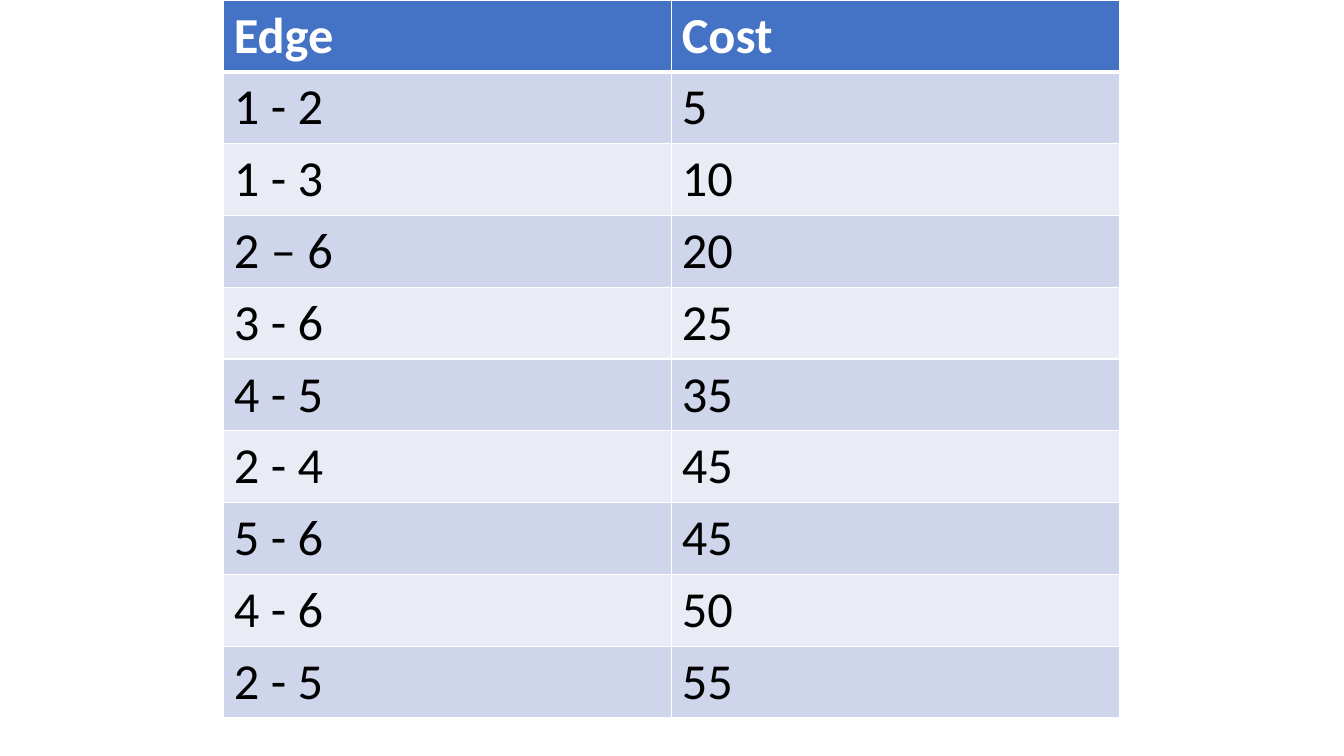
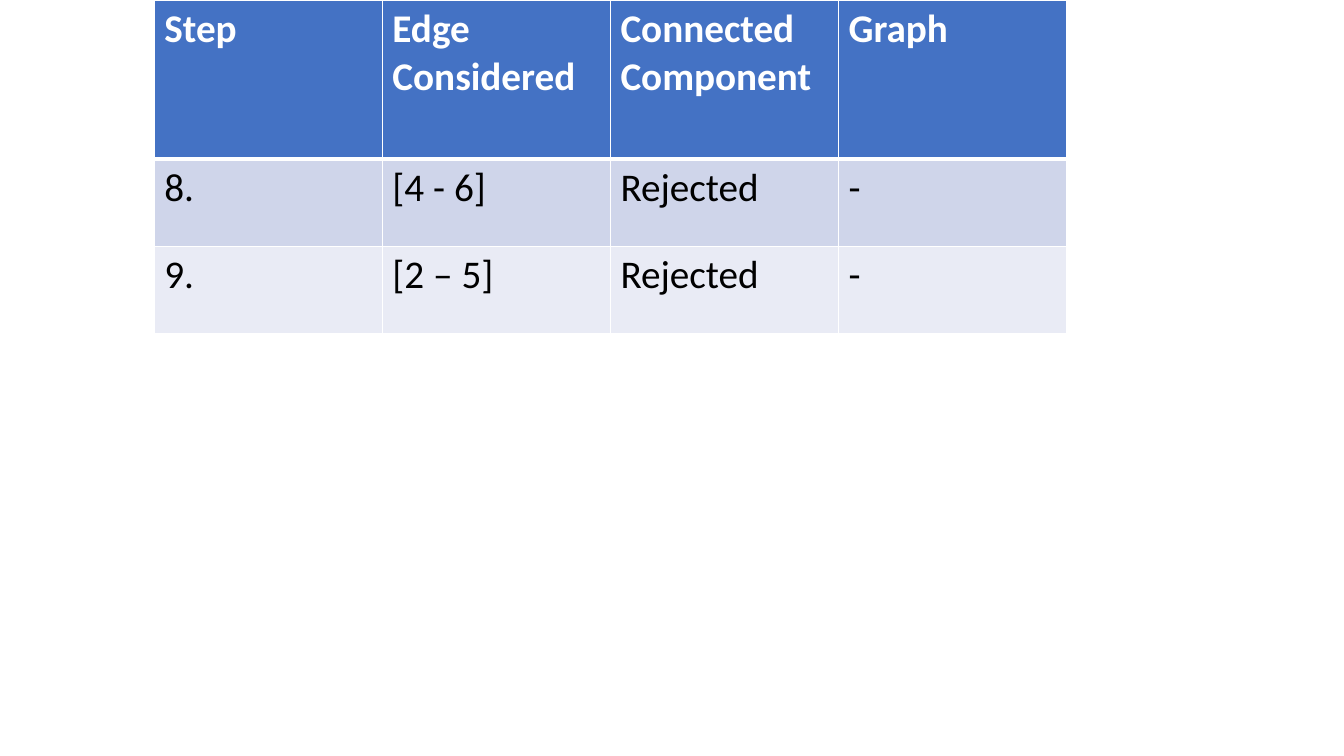
import pptx
import pptx.util
import pptx.dml.color
import pptx.oxml
import pptx.oxml.ns
from pptx.util import Cm

FONT = "Calibri"
HEADER, BANDS = "4472C4", ("CFD5EA", "E9EBF5")
WHITE, BLACK = "FFFFFF", "000000"
THIN, THICK = 1, 3

EDGE_COSTS = [
    ("Edge", "Cost"),
    ("1 - 2", "5"),
    ("1 - 3", "10"),
    ("2 – 6", "20"),
    ("3 - 6", "25"),
    ("4 - 5", "35"),
    ("2 - 4", "45"),
    ("5 - 6", "45"),
    ("4 - 6", "50"),
    ("2 - 5", "55"),
]
STEPS = [
    ("Step", "Edge Considered", "Connected Component", "Graph"),
    ("8.", "[4 - 6]", "Rejected", "-"),
    ("9.", "[2 – 5]", "Rejected", "-"),
]


def rgb(value):
    """Turn a hex string into a colour."""
    return pptx.dml.color.RGBColor.from_string(value)


def write(tf, text, size, color=BLACK, bold=False):
    """Put formatted text into the first paragraph of a text frame."""
    r = tf.paragraphs[0].add_run()
    r.text = text
    r.font.name = FONT
    r.font.size = pptx.util.Pt(size)
    r.font.bold = bold
    r.font.color.rgb = rgb(color)


def set_borders(cell, top=THIN, bottom=THIN):
    """Draw white lines on all four sides of a cell."""
    tc_pr = cell._tc.get_or_add_tcPr()
    for side, width in (("L", THIN), ("R", THIN), ("T", top), ("B", bottom)):
        tc_pr.append(pptx.oxml.parse_xml(
            f'<a:ln{side} {pptx.oxml.ns.nsdecls("a")} w="{pptx.util.Pt(width)}">'
            f'<a:solidFill><a:srgbClr val="{WHITE}"/></a:solidFill></a:ln{side}>'))


def add_banded_table(s, rows, box, header_height, size):
    """Fill a box with a table that has a header and banded rows."""
    left, top, width, height = box
    table = s.shapes.add_table(len(rows), len(rows[0]), left, top, width, height).table
    for column in table.columns:
        column.width = int(width / len(rows[0]))
    row_height = int((height - header_height) / (len(rows) - 1))
    for i, texts in enumerate(rows):
        is_header = i == 0
        table.rows[i].height = header_height if is_header else row_height
        for j, text in enumerate(texts):
            cell = table.cell(i, j)
            set_borders(cell, top=THICK if i == 1 else THIN,
                        bottom=THICK if is_header else THIN)
            cell.fill.solid()
            cell.fill.fore_color.rgb = rgb(HEADER if is_header else BANDS[(i - 1) % 2])
            write(cell.text_frame, text, size,
                  color=WHITE if is_header else BLACK, bold=is_header)


def add_table_slide(prs, rows, box, header_height, size):
    """Add a blank slide that holds one banded table."""
    s = prs.slides.add_slide(prs.slide_layouts[6])
    add_banded_table(s, rows, box, header_height, size)


def main():
    """Build both slides and save the presentation."""
    prs = pptx.Presentation()
    prs.slide_width, prs.slide_height = Cm(33.87), Cm(19.05)
    add_table_slide(prs, EDGE_COSTS, (Cm(5.64), Cm(0), Cm(22.58), Cm(17.8)),
                    header_height=Cm(1.78), size=36)
    add_table_slide(prs, STEPS, (Cm(3.89), Cm(0), Cm(22.99), Cm(8.41)),
                    header_height=Cm(4.01), size=28)
    prs.save("out.pptx")


if __name__ == "__main__":
    main()
